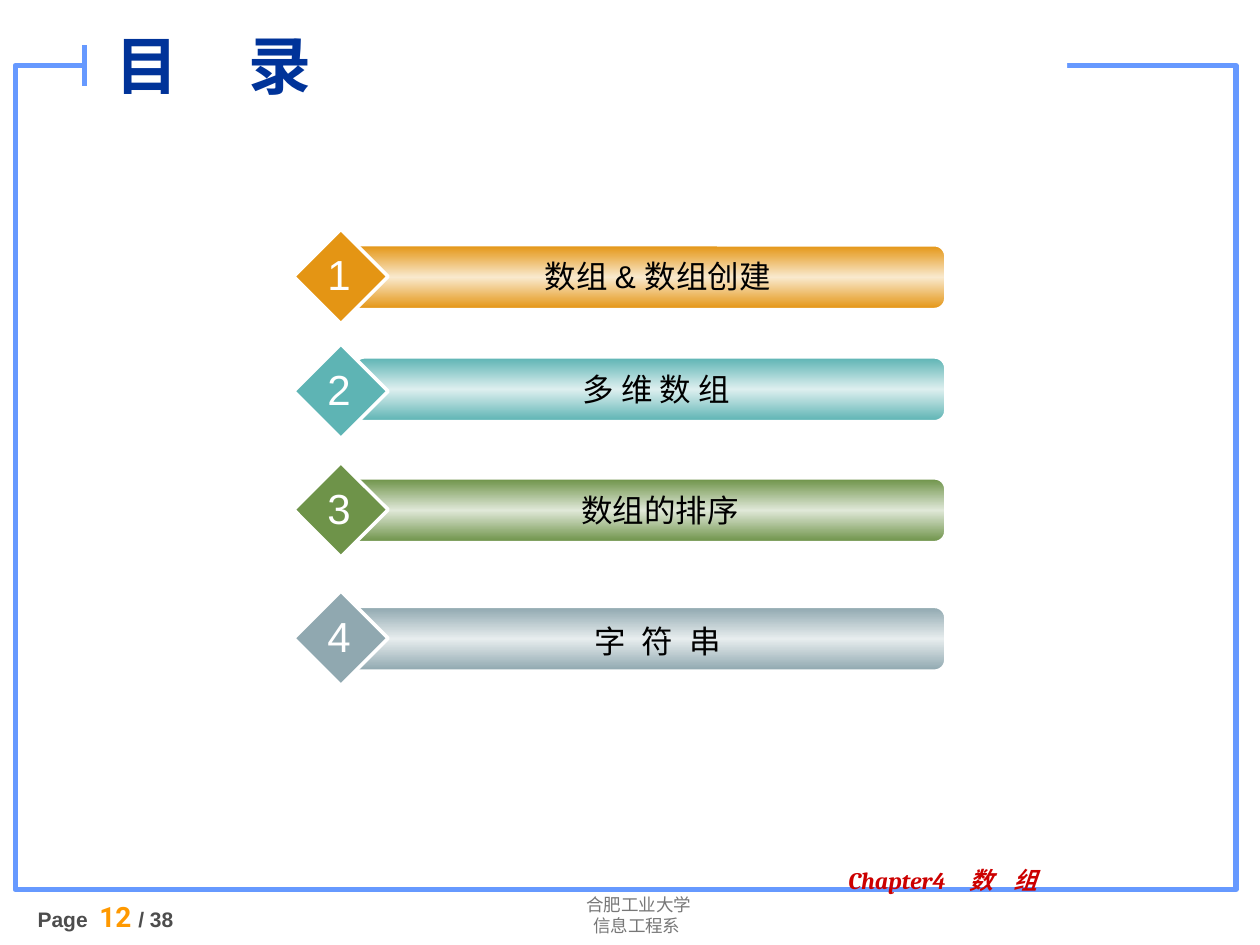
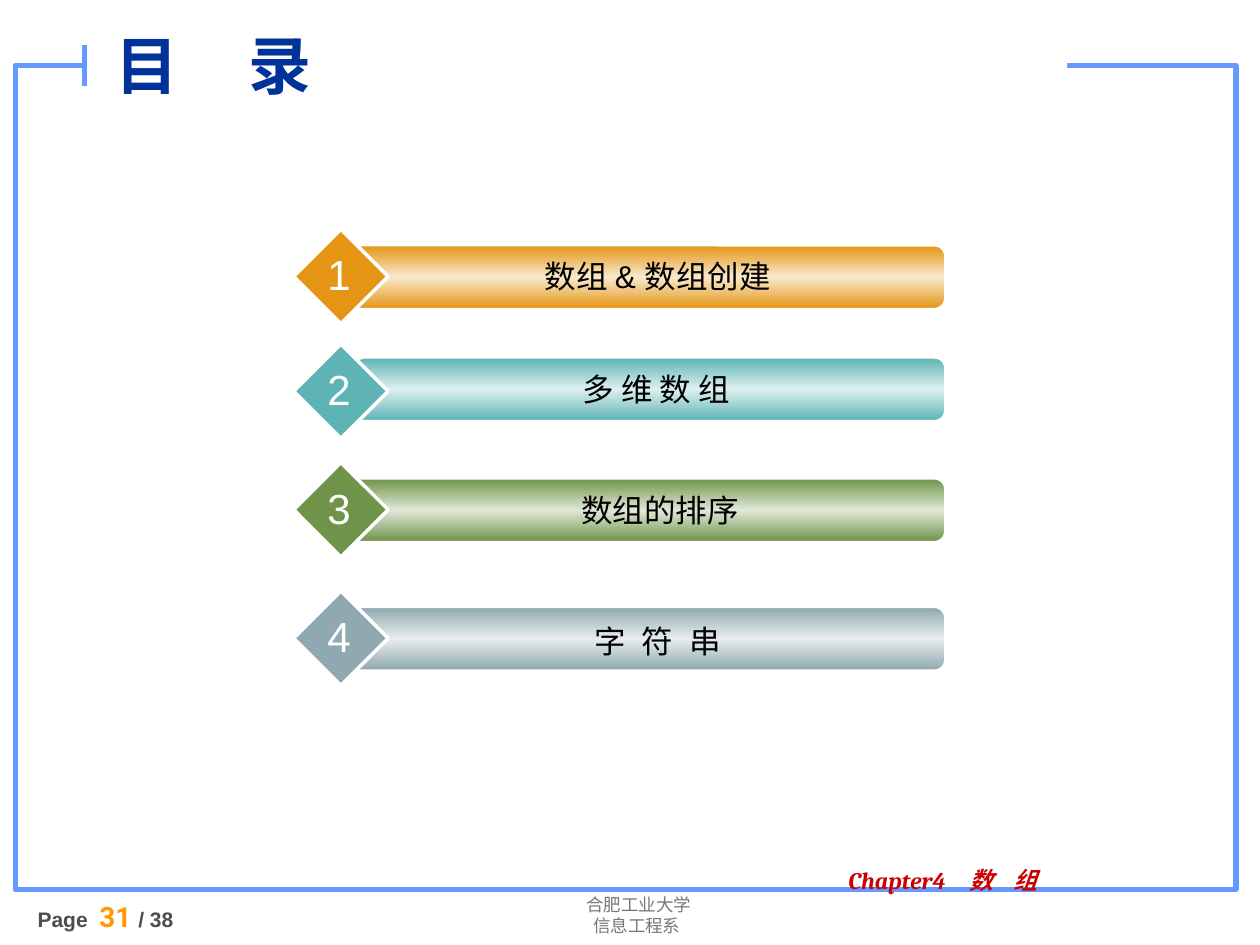
from copy import deepcopy
from dataclasses import dataclass
from typing import NamedTuple

from lxml.etree import SubElement
from pptx import Presentation
from pptx.dml.color import RGBColor
from pptx.enum.shapes import MSO_CONNECTOR, MSO_SHAPE
from pptx.enum.text import MSO_ANCHOR, PP_ALIGN
from pptx.oxml.ns import qn
from pptx.shapes.autoshape import Shape
from pptx.slide import Slide
from pptx.util import Pt

COLORS = {
    "frame": "6699FF",
    "white": "FFFFFF",
    "black": "000000",
    "title": "003399",
    "school": "777777",
    "page": "4D4D4D",
    "page_number": "FF9900",
    "chapter": "CC0000",
    "orange": "E49514",
    "orange_light": "F9E9CD",
    "teal": "5EB4B4",
    "teal_light": "DDEFEF",
    "green": "6E9349",
    "green_light": "E0E8D8",
    "gray": "90A8B0",
    "gray_light": "E7EDEE",
}
PAGES = (12, 31)
PAGE_TOTAL = 38
BAR_RIGHT = 540
DIAMOND_SIZE = 54


class Box(NamedTuple):
    left: float
    top: float
    width: float
    height: float


@dataclass(frozen=True)
class Style:
    size: float
    color: str
    font: str = "Arial"
    bold: bool = False
    italic: bool = False


@dataclass(frozen=True)
class Topic:
    number: int
    label: str
    color: str
    top: float
    bar_left: float = 198
    bar_drop: float = 9.36
    label_left: float = 216
    label_drop: float = 12.5
    label_width: float = 319.7
    letter_spacing: float = 0


TITLE = Style(36, "title", bold=True)
SCHOOL = Style(10, "school", "Lato")
PAGE = Style(12, "page", bold=True)
PAGE_NUMBER = Style(16, "page_number", "Roboto", bold=True)
CHAPTER = Style(13.6, "chapter", "Cambria", bold=True, italic=True)
LABEL = Style(18, "black")
NUMBER = Style(24, "white")

TOPICS = (
    Topic(1, "数组 & 数组创建", "orange", 131.04),
    Topic(2, "多 维 数 组", "teal", 196.56, bar_left=202.3, bar_drop=7.92,
          label_left=212.4, label_drop=11.5, label_width=325.4),
    Topic(3, "数组的排序", "green", 264.24, label_left=217.4, label_drop=13),
    Topic(4, "字 符 串", "gray", 337.68, label_drop=14.4, letter_spacing=2.5),
)


def rgb(name: str) -> RGBColor:
    return RGBColor.from_string(COLORS[name])


def points(box: Box) -> list[Pt]:
    return [Pt(v) for v in box]


def add_text(shapes, box: Box, lines: list[list[tuple[str, Style]]],
             align: PP_ALIGN = PP_ALIGN.LEFT, tabs: tuple[float, ...] = (),
             wrap: bool = True) -> Shape:
    tb = shapes.add_textbox(*points(box))
    tf = tb.text_frame
    tf.word_wrap = wrap
    for i, line in enumerate(lines):
        p = tf.add_paragraph() if i else tf.paragraphs[0]
        p.alignment = align
        if tabs:
            tab_list = SubElement(p._p.get_or_add_pPr(), qn("a:tabLst"))
            for stop in tabs:
                SubElement(tab_list, qn("a:tab"), pos=str(Pt(stop)), algn="l")
        for text, style in line:
            r = p.add_run()
            r.text = text
            r.font.size = Pt(style.size)
            r.font.name = style.font
            r.font.bold = style.bold
            r.font.italic = style.italic
            r.font.color.rgb = rgb(style.color)
    return tb


def add_box(shapes, kind: MSO_SHAPE, box: Box, fill: str | None = None,
            line: str | None = None, line_width: float = 0) -> Shape:
    sp = shapes.add_shape(kind, *points(box))
    sp.shadow.inherit = False
    if fill:
        sp.fill.solid()
        sp.fill.fore_color.rgb = rgb(fill)
    else:
        sp.fill.background()
    if line:
        sp.line.color.rgb = rgb(line)
        sp.line.width = Pt(line_width)
    else:
        sp.line.fill.background()
    return sp


def set_sheen(sp: Shape, color: str) -> None:
    sp.fill.gradient()
    sp.fill.gradient_angle = 90
    edge, middle = sp.fill.gradient_stops
    edge.color.rgb = rgb(color)
    edge.position = 0
    middle.color.rgb = rgb(f"{color}_light")
    middle.position = 0.5
    stops = sp._element.spPr.find(qn("a:gradFill")).find(qn("a:gsLst"))
    last = deepcopy(stops[0])
    last.set("pos", "100000")
    stops.append(last)


def add_frame(s: Slide) -> None:
    add_box(s.shapes, MSO_SHAPE.RECTANGLE, Box(8.64, 37.44, 697.7, 470.9),
            line="frame", line_width=3)
    add_box(s.shapes, MSO_SHAPE.RECTANGLE, Box(48.24, 20.16, 561.6, 25.2), fill="white")
    tick = s.shapes.add_connector(MSO_CONNECTOR.STRAIGHT, Pt(48.24), Pt(26),
                                  Pt(48.24), Pt(49))
    tick.line.color.rgb = rgb("frame")
    tick.line.width = Pt(3)
    SubElement(tick._element.spPr, qn("a:effectLst"))


def add_footer(s: Slide, page: int) -> None:
    add_text(s.shapes, Box(273.6, 507.6, 182.9, 31.7),
             [[("合肥工业大学", SCHOOL)], [("信息工程系 ", SCHOOL)]], PP_ALIGN.CENTER)
    add_text(s.shapes, Box(14.4, 510.5, 130.3, 48.2),
             [[("Page\t", PAGE), (f"{page} ", PAGE_NUMBER), (f"/ {PAGE_TOTAL}", PAGE)]],
             tabs=(35.3,))
    chapter = add_text(s.shapes, Box(465.8, 493.2, 221, 25.2),
                       [[("Chapter4\t数\t组", CHAPTER)]], tabs=(69, 94.6))
    chapter.text_frame.margin_left = Pt(19)
    chapter.text_frame.paragraphs[0].line_spacing = 0.9


def add_title(s: Slide) -> None:
    title = add_text(s.shapes, Box(59, 7.9, 323.3, 57.6), [[("目\t录", TITLE)]], tabs=(76,))
    title.text_frame.vertical_anchor = MSO_ANCHOR.MIDDLE


def add_topic(s: Slide, topic: Topic) -> None:
    shapes = s.shapes.add_group_shape().shapes
    bar = add_box(shapes, MSO_SHAPE.ROUNDED_RECTANGLE,
                  Box(topic.bar_left, topic.top + topic.bar_drop,
                      BAR_RIGHT - topic.bar_left, 36),
                  line="white", line_width=1)
    set_sheen(bar, topic.color)
    add_box(shapes, MSO_SHAPE.DIAMOND,
            Box(167.8, topic.top, DIAMOND_SIZE, DIAMOND_SIZE),
            fill=topic.color, line="white", line_width=2)
    label = add_text(shapes, Box(topic.label_left, topic.top + topic.label_drop,
                                 topic.label_width, 28.8),
                     [[(topic.label, LABEL)]], PP_ALIGN.CENTER)
    if topic.letter_spacing:
        r = label.text_frame.paragraphs[0].runs[0]
        r.font._element.set("spc", str(round(topic.letter_spacing * 100)))
    add_text(shapes, Box(180, topic.top + 7.7, 27.4, 36),
             [[(str(topic.number), NUMBER)]], PP_ALIGN.CENTER, wrap=False)


def main() -> None:
    prs = Presentation()
    prs.slide_width, prs.slide_height = Pt(720), Pt(540)
    for page in PAGES:
        s = prs.slides.add_slide(prs.slide_layouts[6])
        add_frame(s)
        add_footer(s, page)
        add_title(s)
        for topic in TOPICS:
            add_topic(s, topic)
    prs.save("out.pptx")


if __name__ == "__main__":
    main()
